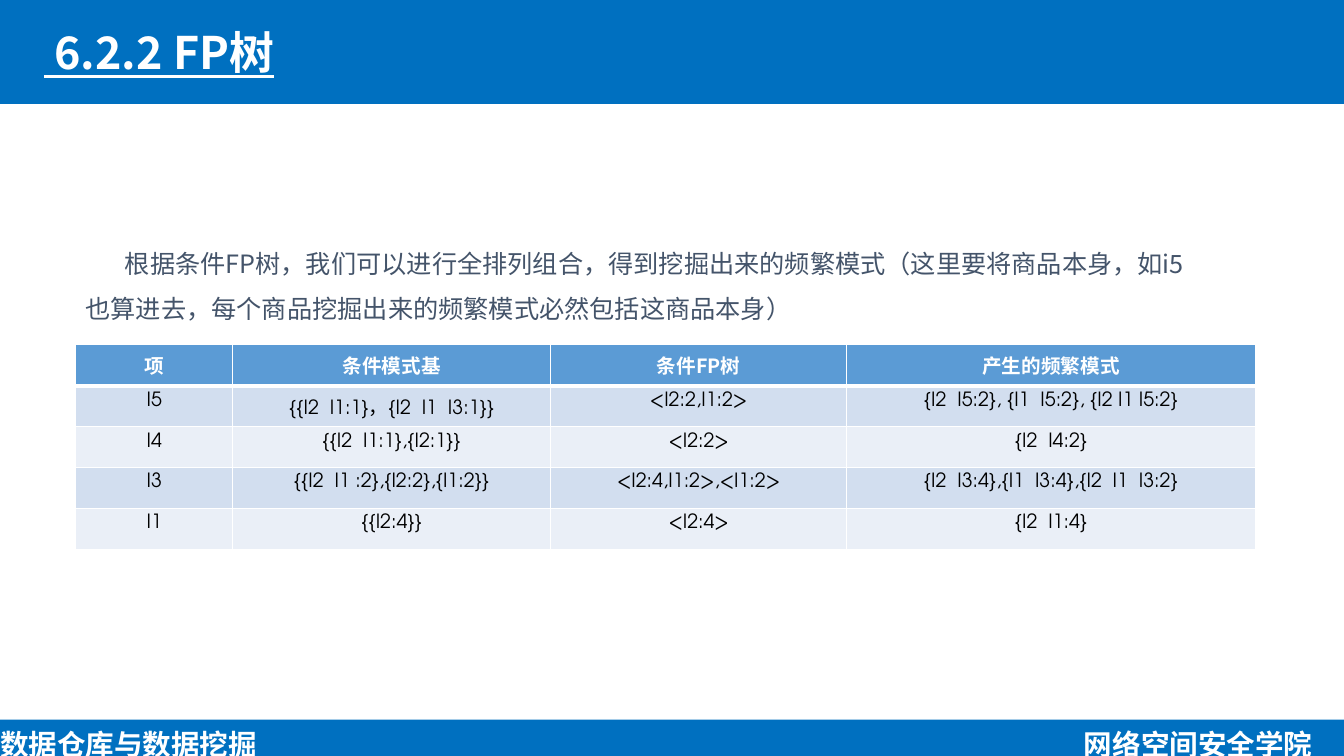
"""Builds the slide on frequent patterns mined from conditional FP trees."""
from lxml.etree import SubElement
from pptx import Presentation
from pptx.dml.color import RGBColor
from pptx.enum.shapes import MSO_SHAPE
from pptx.enum.text import MSO_ANCHOR, PP_ALIGN
from pptx.oxml.ns import qn
from pptx.util import Inches, Pt

TITLE = " 6.2.2 FP树"
EXPLANATION = (
    "根据条件FP树，我们可以进行全排列组合，得到挖掘出来的频繁模式"
    "（这里要将商品本身，如i5也算进去，每个商品挖掘出来的频繁模式必然包括这商品本身）"
)
FOOTERS = [("数据仓库与数据挖掘", 0), ("网络空间安全学院", 10.75)]
PATTERNS = [
    ("项", "条件模式基", "条件FP树", "产生的频繁模式"),
    ("I5", "{{I2  I1:1}，{I2  I1  I3:1}}", "<I2:2,I1:2>", "{I2  I5:2}, {I1  I5:2}, {I2 I1 I5:2}"),
    ("I4", "{{I2  I1:1},{I2:1}}", "<I2:2>", "{I2  I4:2}"),
    ("I3", "{{I2  I1 :2},{I2:2},{I1:2}}", "<I2:4,I1:2>,<I1:2>", "{I2  I3:4},{I1  I3:4},{I2  I1  I3:2}"),
    ("I1", "{{I2:4}}", "<I2:4>", "{I2  I1:4}"),
]

COLORS = {
    "band": "0070C0", "white": "FFFFFF", "body": "44546A", "black": "000000",
    "header": "5B9BD5", "odd": "D2DEEF", "even": "EAEFF7",
}
HAN, LATIN = "Noto Sans CJK SC", "TeX Gyre Adventor"
WIDTH, HEIGHT = 13.33, 7.5
MARGIN = 0.75
COLUMN_WIDTHS = (1.56, 3.15, 2.94, 4.05)
ROW_HEIGHT = 0.406
CELL_INSET = 0.06


def color(name):
    return RGBColor.from_string(COLORS[name])


def write(paragraph, words, size, ink, font=HAN, bold=False, underline=False):
    run = paragraph.add_run()
    run.text = words
    run.font.size = Pt(size)
    run.font.name = font
    run.font.bold = bold
    run.font.underline = underline
    run.font.color.rgb = color(ink)
    SubElement(run.font._element, qn("a:ea")).set("typeface", HAN)


def add_band(slide, top, height):
    band = slide.shapes.add_shape(
        MSO_SHAPE.RECTANGLE, 0, Inches(top), Inches(WIDTH), Inches(height))
    band.shadow.inherit = False
    band.fill.solid()
    band.fill.fore_color.rgb = color("band")
    band.line.fill.background()


def add_text(slide, left, top, width, height, inset=0, anchor=MSO_ANCHOR.MIDDLE):
    frame = slide.shapes.add_textbox(*map(Inches, (left, top, width, height))).text_frame
    frame.word_wrap = True
    frame.vertical_anchor = anchor
    frame.margin_left = frame.margin_right = Inches(inset)
    frame.margin_top = frame.margin_bottom = Inches(inset / 2)
    return frame.paragraphs[0]


def set_borders(cell, top, bottom):
    properties = cell._tc.get_or_add_tcPr()
    sides = (("a:lnL", 1), ("a:lnR", 1), ("a:lnT", top), ("a:lnB", bottom))
    for position, (side, points) in enumerate(sides):
        border = properties.makeelement(qn(side), {"w": str(Pt(points))})
        fill = SubElement(border, qn("a:solidFill"))
        SubElement(fill, qn("a:srgbClr")).set("val", COLORS["white"])
        properties.insert(position, border)


def add_patterns(slide):
    table = slide.shapes.add_table(
        len(PATTERNS), len(COLUMN_WIDTHS), Inches(MARGIN), Inches(3.42),
        Inches(sum(COLUMN_WIDTHS)), Inches(ROW_HEIGHT * len(PATTERNS))).table
    for column, width in zip(table.columns, COLUMN_WIDTHS):
        column.width = Inches(width)
    for row, entries in enumerate(PATTERNS):
        table.rows[row].height = Inches(ROW_HEIGHT)
        heading = row == 0
        shade = "header" if heading else ("even", "odd")[row % 2]
        for column, entry in enumerate(entries):
            cell = table.cell(row, column)
            cell.margin_left = cell.margin_right = Inches(CELL_INSET)
            cell.margin_top = cell.margin_bottom = Inches(CELL_INSET)
            cell.fill.solid()
            cell.fill.fore_color.rgb = color(shade)
            set_borders(cell, 3 if row == 1 else 1, 3 if heading else 1)
            paragraph = cell.text_frame.paragraphs[0]
            paragraph.alignment = PP_ALIGN.CENTER
            write(paragraph, entry, 14, "white" if heading else "black",
                  HAN if heading else LATIN, bold=heading)


def main():
    deck = Presentation()
    deck.slide_width, deck.slide_height = Inches(WIDTH), Inches(HEIGHT)
    slide = deck.slides.add_slide(deck.slide_layouts[6])

    add_band(slide, -0.02, 1.05)
    add_band(slide, 7.14, 0.36)
    for words, left in FOOTERS:
        write(add_text(slide, left, 7.24, 2.58, 0.29), words, 20.4, "white", bold=True)
    write(add_text(slide, 0.44, 0.1, 8.74, 0.83), TITLE, 32, "white",
          bold=True, underline=True)

    add_patterns(slide)

    explanation = add_text(slide, MARGIN, 2.26, 11.25, 0.96, 0.1, MSO_ANCHOR.TOP)
    explanation.line_spacing = 1.5
    explanation._p.get_or_add_pPr().set("indent", str(Inches(0.39)))
    write(explanation, EXPLANATION, 18, "body")

    deck.save("out.pptx")


if __name__ == "__main__":
    main()
